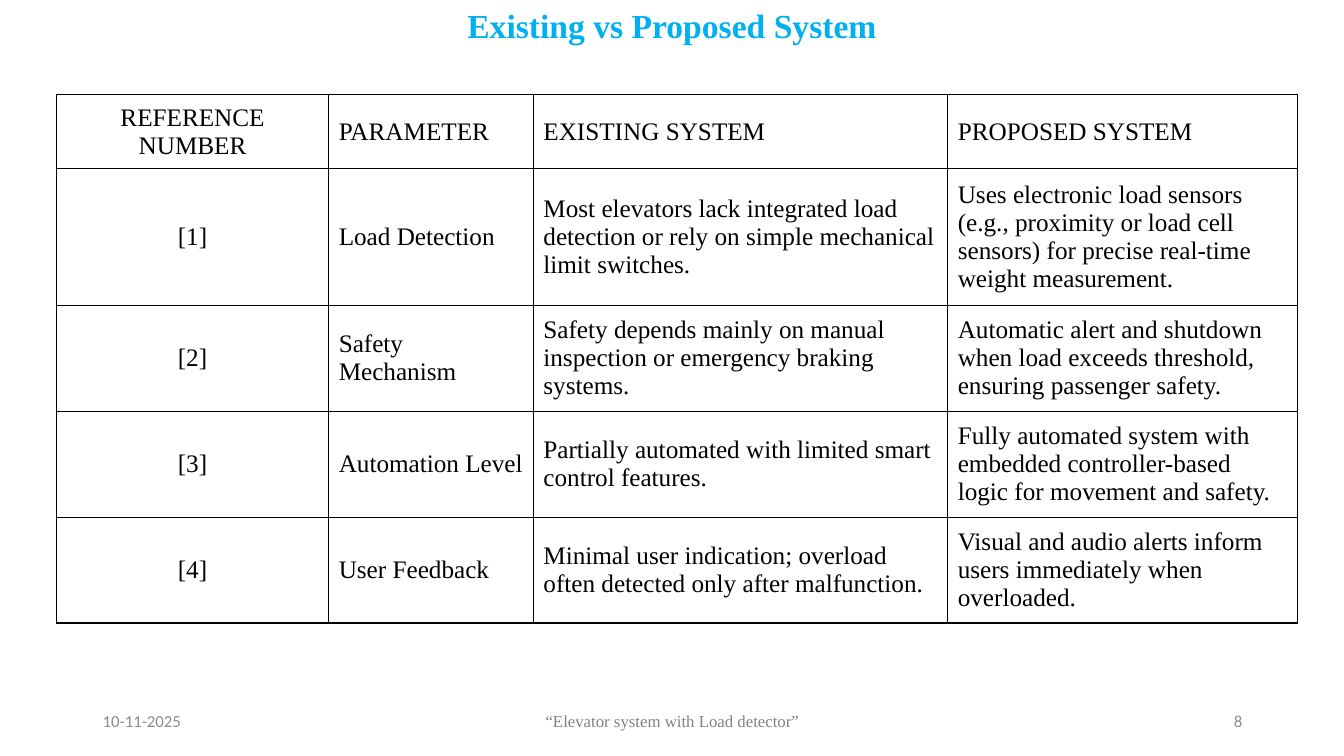
from lxml import etree
from pptx import Presentation
from pptx.dml.color import RGBColor
from pptx.enum.text import MSO_ANCHOR, PP_ALIGN
from pptx.oxml.ns import qn
from pptx.util import Inches, Pt

LEFT, CENTER, RIGHT = PP_ALIGN.LEFT, PP_ALIGN.CENTER, PP_ALIGN.RIGHT
TOP, MIDDLE = MSO_ANCHOR.TOP, MSO_ANCHOR.MIDDLE
BLACK = RGBColor(0x00, 0x00, 0x00)
BLUE = RGBColor(0x00, 0xB0, 0xF0)
GRAY = RGBColor(0x8C, 0x8C, 0x8C)
DARK = RGBColor(0x82, 0x82, 0x82)
SERIF, SANS = "Times New Roman", "Calibri"


def write(frame, text, align, size, face, color, bold=False):
    frame.text = text
    para = frame.paragraphs[0]
    para.alignment = align
    font = para.runs[0].font
    font.size = Pt(size)
    font.name = face
    font.color.rgb = color
    font.bold = bold


def border(cell):
    props = cell._tc.get_or_add_tcPr()
    for i, side in enumerate(("a:lnL", "a:lnR", "a:lnT", "a:lnB")):
        line = etree.Element(qn(side), w=str(Pt(1)))
        fill = etree.SubElement(line, qn("a:solidFill"))
        etree.SubElement(fill, qn("a:srgbClr"), val=str(BLACK))
        props.insert(i, line)


prs = Presentation()
prs.slide_width, prs.slide_height = Inches(13.33), Inches(7.5)
slide = prs.slides.add_slide(prs.slide_layouts[6])

labels = [
    ("Existing vs Proposed System", 1.43, 0, 10.47, 0.78, TOP, CENTER, 24, SERIF, BLUE, True),
    ("10-11-2025", 0.92, 6.95, 3, 0.4, MIDDLE, LEFT, 12, SANS, GRAY, False),
    ("“Elevator system with Load detector”", 4.42, 6.95, 4.5, 0.4, MIDDLE, CENTER, 12, SERIF, DARK, False),
    ("8", 9.42, 6.95, 3, 0.4, MIDDLE, RIGHT, 12, SANS, GRAY, False),
]
for text, x, y, w, h, anchor, *style in labels:
    frame = slide.shapes.add_textbox(Inches(x), Inches(y), Inches(w), Inches(h)).text_frame
    frame.word_wrap = True
    frame.vertical_anchor = anchor
    write(frame, text, *style)

rows = [
    ("REFERENCE NUMBER", "PARAMETER", "EXISTING SYSTEM", "PROPOSED SYSTEM"),
    ("[1]", "Load Detection",
     "Most elevators lack integrated load detection or rely on simple mechanical limit switches.",
     "Uses electronic load sensors (e.g., proximity or load cell sensors) for precise real-time weight measurement."),
    ("[2]", "Safety Mechanism",
     "Safety depends mainly on manual inspection or emergency braking systems.",
     "Automatic alert and shutdown when load exceeds threshold, ensuring passenger safety."),
    ("[3]", "Automation Level",
     "Partially automated with limited smart control features.",
     "Fully automated system with embedded controller-based logic for movement and safety."),
    ("[4]", "User Feedback",
     "Minimal user indication; overload often detected only after malfunction.",
     "Visual and audio alerts inform users immediately when overloaded."),
]
widths = [2.7, 2.03, 4.11, 3.47]
heights = [0.73, 1.36, 1.05, 1.05, 1.05]
table = slide.shapes.add_table(
    len(rows), len(widths), Inches(0.56), Inches(0.94), Inches(sum(widths)), Inches(sum(heights))
).table
table.first_row = table.horz_banding = False
for col, width in zip(table.columns, widths):
    col.width = Inches(width)
for r, (row, height) in enumerate(zip(rows, heights)):
    table.rows[r].height = Inches(height)
    for c, text in enumerate(row):
        cell = table.cell(r, c)
        cell.fill.background()
        cell.vertical_anchor = MIDDLE
        cell.margin_right = Inches(0.09 if c == 1 else 0.1)
        write(cell.text_frame, text, LEFT if c else CENTER, 18, SERIF, BLACK)
        border(cell)

prs.save("out.pptx")
